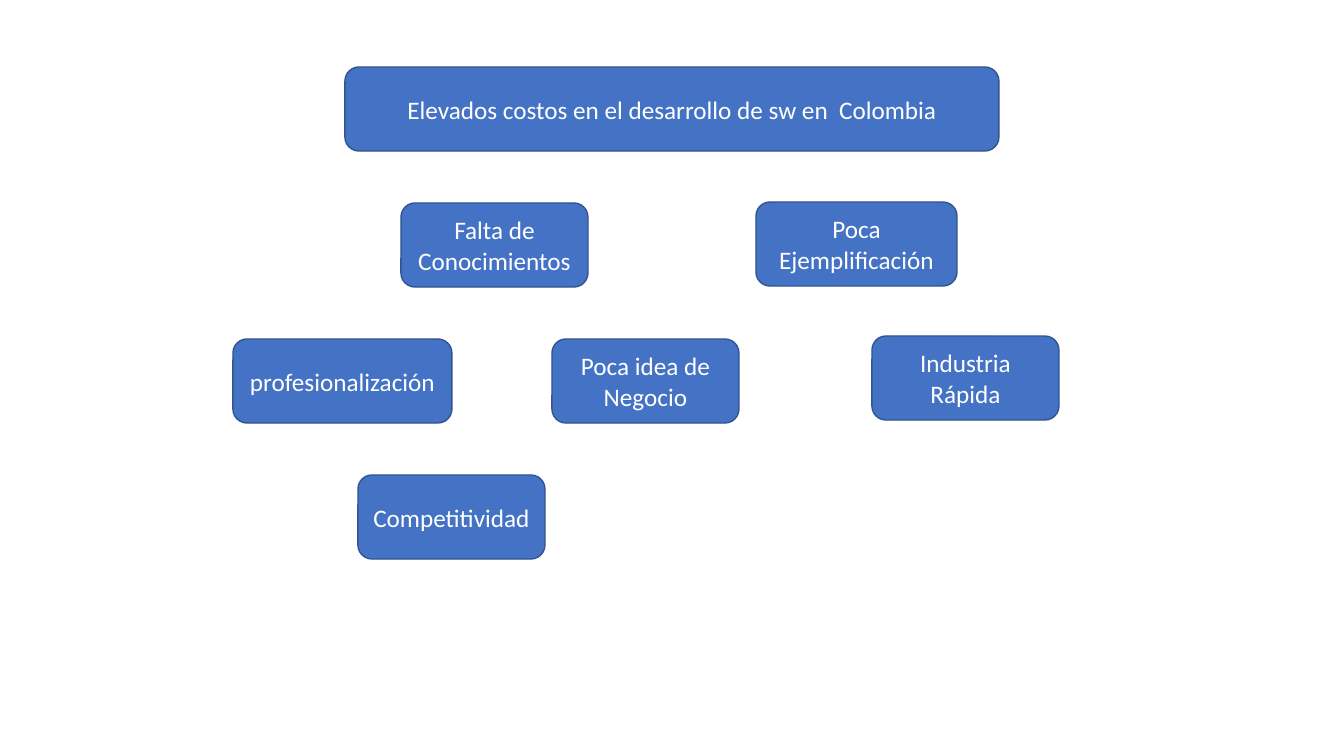
from dataclasses import dataclass

from pptx import Presentation
from pptx.dml.color import RGBColor
from pptx.enum.shapes import MSO_SHAPE
from pptx.enum.text import MSO_ANCHOR, PP_ALIGN
from pptx.util import Emu, Inches, Pt

SCALE = Inches(1) / 100.8


@dataclass(frozen=True)
class Theme:
    fill: RGBColor = RGBColor(0x44, 0x72, 0xC4)
    edge: RGBColor = RGBColor(0x32, 0x54, 0x91)
    ink: RGBColor = RGBColor(0xFF, 0xFF, 0xFF)
    font: str = "Calibri"
    size: Pt = Pt(18)
    line: Pt = Pt(1)


THEME = Theme()
HEIGHT = 84
WIDTH = 187
BOXES = [
    ("Falta de Conocimientos", 401, 203, WIDTH),
    ("Elevados costos en el desarrollo de sw en  Colombia", 345, 67, 654),
    ("Poca Ejemplificación", 756, 202, 201),
    ("profesionalización", 233, 339, 219),
    ("Poca idea de Negocio", 552, 339, WIDTH),
    ("Industria Rápida", 872, 336, WIDTH),
    ("Competitividad", 358, 475, WIDTH),
]


def px(count):
    return Emu(round(count * SCALE))


def add_box(slide, text, left, top, width):
    box = slide.shapes.add_shape(
        MSO_SHAPE.ROUNDED_RECTANGLE, px(left), px(top), px(width), px(HEIGHT)
    )
    box.shadow.inherit = False
    box.fill.solid()
    box.fill.fore_color.rgb = THEME.fill
    box.line.color.rgb = THEME.edge
    box.line.width = THEME.line
    frame = box.text_frame
    frame.word_wrap = True
    frame.vertical_anchor = MSO_ANCHOR.MIDDLE
    label = frame.paragraphs[0]
    label.text = text
    label.alignment = PP_ALIGN.CENTER
    label.font.name = THEME.font
    label.font.size = THEME.size
    label.font.color.rgb = THEME.ink


def main():
    deck = Presentation()
    deck.slide_width = px(1344)
    deck.slide_height = px(756)
    slide = deck.slides.add_slide(deck.slide_layouts[6])
    for box in BOXES:
        add_box(slide, *box)
    deck.save("out.pptx")


if __name__ == "__main__":
    main()
